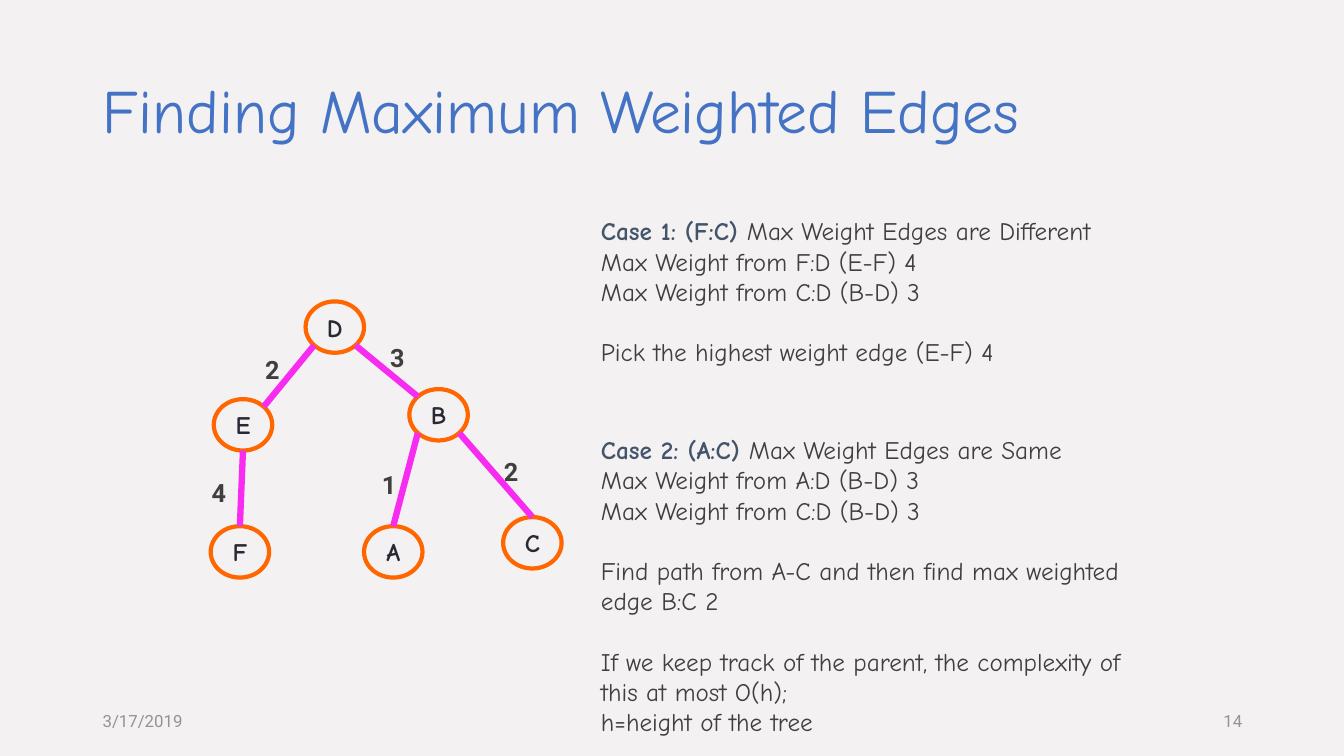
from dataclasses import dataclass

from lxml.etree import SubElement
from pptx import Presentation
from pptx.dml.color import RGBColor
from pptx.enum.shapes import MSO_CONNECTOR as Connector, MSO_SHAPE as Shape
from pptx.enum.text import MSO_ANCHOR as Anchor, MSO_AUTO_SIZE as AutoSize, PP_ALIGN as Align
from pptx.oxml.ns import qn
from pptx.util import Inches, Pt


@dataclass(frozen=True)
class Theme:
    background: str = "F3F1F1"
    title: str = "4472C4"
    case: str = "44546A"
    body: str = "3F3F3F"
    footer: str = "939393"
    node_text: str = "292934"
    node_ring: str = "FF6600"
    edge: str = "F82CF1"
    hand: str = "Comic Neue"
    plain: str = "Roboto"
    title_size: float = 44
    body_size: float = 18
    footer_size: float = 12
    ring_width: float = 3
    edge_width: float = 4.5
    blank_line: float = 21.6


class TreeSlide:
    """All lengths are percentages of the slide's width and height."""

    NODE_SIZE = (4.35, 6.8)

    def __init__(self, deck, theme):
        self.deck, self.theme = deck, theme
        self.slide = deck.slides.add_slide(deck.slide_layouts[3])
        fill = self.slide.background.fill
        fill.solid()
        fill.fore_color.rgb = RGBColor.from_string(theme.background)

    def x(self, share):
        return round(self.deck.slide_width * share / 100)

    def y(self, share):
        return round(self.deck.slide_height * share / 100)

    def box(self, left, top, width, height):
        return self.x(left), self.y(top), self.x(width), self.y(height)

    def style(self, font, name, size, color, bold=False):
        font.name, font.size, font.bold = name, Pt(size), bold
        font.color.rgb = RGBColor.from_string(color)

    def place(self, holder, box):
        holder.left, holder.top, holder.width, holder.height = self.box(*box)
        holder.text_frame.auto_size = AutoSize.NONE
        holder.text_frame.word_wrap = True

    def title(self, wording, box):
        heading = self.slide.shapes.title
        self.place(heading, box)
        heading.text_frame.vertical_anchor = Anchor.MIDDLE
        line = heading.text_frame.paragraphs[0]
        line.text, line.alignment, line.line_spacing = wording, Align.LEFT, 0.9
        self.style(line.font, self.theme.hand, self.theme.title_size, self.theme.title)

    def case(self, index, box, label, summary, *groups):
        """Fill a body placeholder; a blank line's space separates the groups."""
        theme = self.theme
        holder = self.slide.placeholders[index]
        self.place(holder, box)
        frame = holder.text_frame
        frame.vertical_anchor = Anchor.TOP

        first = self.case_line(frame.paragraphs[0], 0)
        for wording, color, bold in ((label, theme.case, True), (summary, theme.body, False)):
            run = first.add_run()
            run.text = wording
            self.style(run.font, theme.hand, theme.body_size, color, bold)

        for g, group in enumerate(groups):
            for n, wording in enumerate(group):
                gap = theme.blank_line if g and not n else 0
                line = self.case_line(frame.add_paragraph(), gap)
                line.text = wording
                self.style(line.font, theme.hand, theme.body_size, theme.body)

    def case_line(self, line, gap):
        """Make a flush-left paragraph without a bullet."""
        properties = line._p.get_or_add_pPr()
        properties.set("marL", "0")
        properties.set("indent", "0")
        SubElement(properties, qn("a:buNone"))
        line.space_before = Pt(gap)
        return line

    def node(self, letter, center):
        width, height = self.NODE_SIZE
        ring = self.slide.shapes.add_shape(
            Shape.OVAL, *self.box(center[0] - width / 2, center[1] - height / 2, width, height))
        ring.shadow.inherit = False
        ring.fill.background()
        ring.line.color.rgb = RGBColor.from_string(self.theme.node_ring)
        ring.line.width = Pt(self.theme.ring_width)
        ring.text_frame.vertical_anchor = Anchor.MIDDLE
        ring.text_frame.word_wrap = False
        line = ring.text_frame.paragraphs[0]
        line.text, line.alignment = letter, Align.CENTER
        self.style(line.font, self.theme.hand, self.theme.body_size, self.theme.node_text, True)

    def rim(self, center, direction):
        """Point on a node's outline, as lengths on the slide."""
        return tuple(to_length(middle + size / 2 * step) for to_length, middle, size, step
                     in zip((self.x, self.y), center, self.NODE_SIZE, direction))

    def edge(self, parent, leaving, child, entering):
        line = self.slide.shapes.add_connector(
            Connector.STRAIGHT, *self.rim(parent, leaving), *self.rim(child, entering))
        line.line.color.rgb = RGBColor.from_string(self.theme.edge)
        line.line.width = Pt(self.theme.edge_width)
        SubElement(line._element.spPr, qn("a:effectLst"))

    def label(self, wording, box, size, color, bold=False, align=Align.LEFT, anchor=Anchor.TOP):
        frame = self.slide.shapes.add_textbox(*self.box(*box)).text_frame
        frame.word_wrap, frame.vertical_anchor = True, anchor
        line = frame.paragraphs[0]
        line.text, line.alignment = wording, align
        self.style(line.font, self.theme.plain, size, color, bold)


DIAGONAL = 0.71
TOP, BOTTOM = (0, -1), (0, 1)
UPPER_LEFT, UPPER_RIGHT = (-DIAGONAL, -DIAGONAL), (DIAGONAL, -DIAGONAL)
LOWER_LEFT, LOWER_RIGHT = (-DIAGONAL, DIAGONAL), (DIAGONAL, DIAGONAL)

NODES = {
    "D": (24.91, 43.27), "B": (32.63, 54.87), "E": (18.08, 56.2),
    "F": (17.85, 73), "A": (29.26, 73), "C": (39.61, 71.8),
}
# parent, side it leaves, child, side it enters, weight, weight's left and top
EDGES = [
    ("D", LOWER_LEFT, "E", UPPER_RIGHT, 2, (18.98, 46.27)),
    ("D", LOWER_RIGHT, "B", UPPER_LEFT, 3, (28.28, 44.67)),
    ("B", LOWER_LEFT, "A", TOP, 1, (27.68, 61.47)),
    ("B", LOWER_RIGHT, "C", TOP, 2, (36.76, 59.73)),
    ("E", BOTTOM, "F", TOP, 4, (15, 62.53)),
]


def main():
    deck = Presentation()
    deck.slide_width, deck.slide_height = Inches(13.33), Inches(7.5)
    theme = Theme()
    page = TreeSlide(deck, theme)

    page.title("Finding Maximum Weighted Edges", (6.9, 5.33, 86.27, 19.33))

    for letter, center in NODES.items():
        page.node(letter, center)
    for parent, leaving, child, entering, weight, corner in EDGES:
        page.edge(NODES[parent], leaving, NODES[child], entering)
        page.label(str(weight), (*corner, 3.08, 5.33), theme.body_size, theme.body, bold=True)

    page.case(1, (43.96, 27.87, 42.31, 25.6),
              "Case 1: (F:C) ", "Max Weight Edges are Different",
              ["Max Weight from F:D (E-F) 4", "Max Weight from C:D (B-D) 3"],
              ["Pick the highest weight edge (E-F) 4"])
    page.case(2, (43.96, 56.8, 42.31, 41.73),
              "Case 2: (A:C) ", "Max Weight Edges are Same",
              ["Max Weight from A:D (B-D) 3", "Max Weight from C:D (B-D) 3"],
              ["Find path from A-C and then find max weighted edge B:C 2"],
              ["If we keep track of the parent, the complexity of this at most O(h);",
               "h=height of the tree"])

    for wording, left, align in (("3/17/2019", 6.9, Align.LEFT), ("14", 70.67, Align.RIGHT)):
        page.label(wording, (left, 92.67, 22.5, 5.33), theme.footer_size, theme.footer,
                   align=align, anchor=Anchor.MIDDLE)

    deck.save("out.pptx")


if __name__ == "__main__":
    main()
